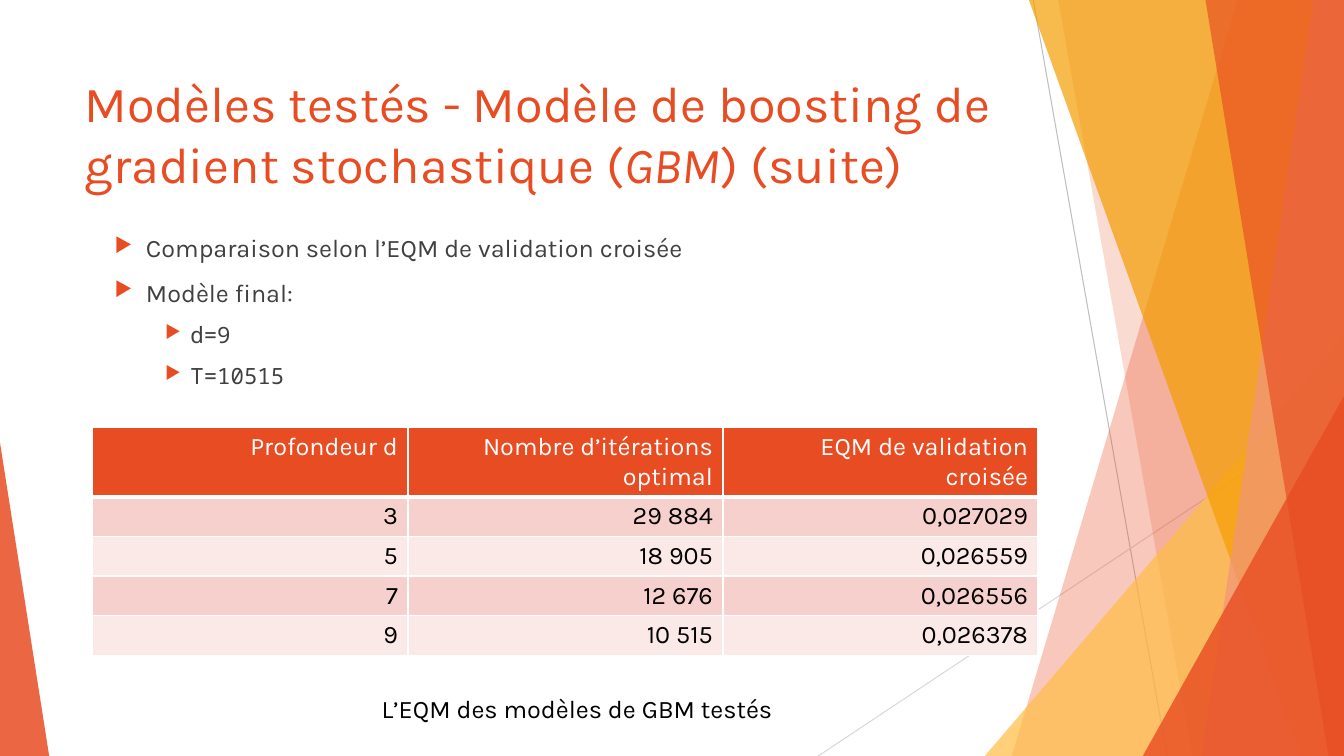
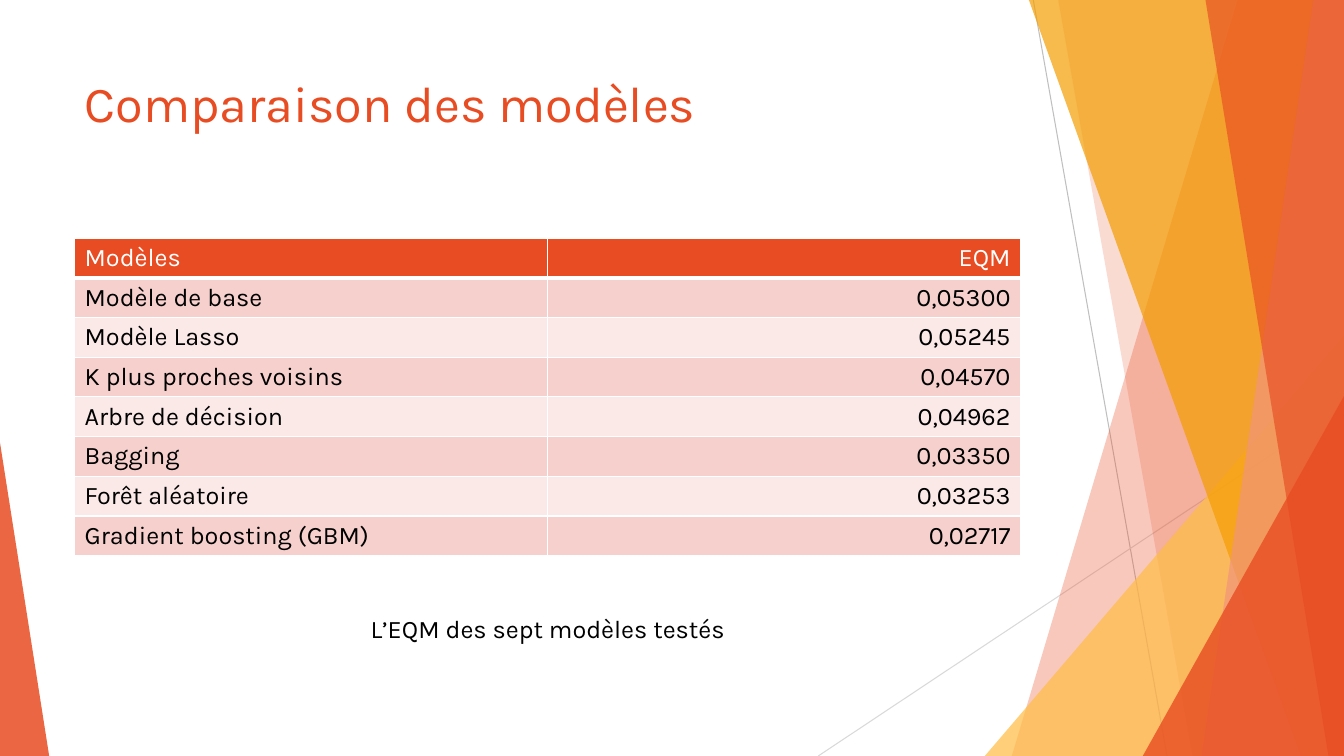
"""Build two slides that compare boosting models and the models tested."""
from dataclasses import dataclass

from lxml import etree
from pptx import Presentation
from pptx import util as u
from pptx.dml import color
from pptx.enum import shapes, text
from pptx.oxml import ns

WIDTH, HEIGHT = 33.87, 19.05
ACCENT, GOLD, AMBER, SALMON = "E84C22", "FFBD47", "F49D00", "F1947A"
WHITE, BLACK, BODY = "FFFFFF", "000000", "404040"
ROW_FILLS = ("F6D0CD", "FBE9E8")
FONT, MONO = "Karla", "Noto Sans Mono"
LEFT, RIGHT, CENTER = text.PP_ALIGN.LEFT, text.PP_ALIGN.RIGHT, text.PP_ALIGN.CENTER


@dataclass(frozen=True)
class Ray:
    """A thin line across the decoration."""
    start: tuple[float, float]
    end: tuple[float, float]
    colour: str


@dataclass(frozen=True)
class Band:
    """A full-height band from a slanted edge to the right side."""
    top_x: float
    bottom_x: float
    colour: str
    opacity: int


@dataclass(frozen=True)
class Wedge:
    """A right triangle standing on the bottom of the slide."""
    left: float
    top: float
    width: float
    apex: float
    colour: str
    opacity: int


@dataclass(frozen=True)
class Bullet:
    """A bullet line with its level and type."""
    words: str
    level: int
    indent: float
    hanging: float
    size: int
    font: str


@dataclass(frozen=True)
class DataTable:
    """A table with its place, alignments and rows."""
    left: float
    top: float
    column_width: float
    header_height: float
    alignments: tuple
    rows: tuple


RAYS = (
    Ray((26.04, 0), (29.41, HEIGHT), "BFBFBF"),
    Ray((WIDTH, 10.24), (20.62, HEIGHT), "D9D9D9"),
)
FACETS = (
    Band(31.19, 25.5, ACCENT, 30),
    Band(26.67, 30.05, ACCENT, 20),
    Wedge(24.82, 8.46, 9.05, 1, GOLD, 72),
    Band(25.93, 32.79, AMBER, 70),
    Band(33.1, 30.28, SALMON, 70),
    Band(30.38, 33.48, ACCENT, 65),
    Wedge(28.8, 9.98, 5.07, 1, ACCENT, 80),
    Wedge(0, 11.15, 1.24, 0, ACCENT, 85),
)
BULLETS = (
    Bullet("Comparaison selon l’EQM de validation croisée", 0, 2.06, 0.79, 18, FONT),
    Bullet("Modèle final:", 0, 2.06, 0.79, 18, FONT),
    Bullet("d=9", 1, 3.18, 0.64, 16, MONO),
    Bullet("T=10515", 1, 3.18, 0.64, 16, MONO),
)
BOOSTING = DataTable(2.34, 10.77, 7.94, 1.74, (RIGHT, RIGHT, RIGHT), (
    ("Profondeur d", "Nombre d’itérations optimal", "EQM de validation croisée"),
    ("3", "29 884", "0,027029"),
    ("5", "18 905", "0,026559"),
    ("7", "12 676", "0,026556"),
    ("9", "10 515", "0,026378"),
))
COMPARISON = DataTable(1.88, 6, 11.92, 1, (LEFT, RIGHT), (
    ("Modèles", "EQM"),
    ("Modèle de base", "0,05300"),
    ("Modèle Lasso", "0,05245"),
    ("K plus proches voisins", "0,04570"),
    ("Arbre de décision", "0,04962"),
    ("Bagging", "0,03350"),
    ("Forêt aléatoire", "0,03253"),
    ("Gradient boosting (GBM)", "0,02717"),
))


def rgb(value: str) -> color.RGBColor:
    """Turn a hex string into a colour."""
    return color.RGBColor.from_string(value)


def add_node(parent, tag: str, **attributes: str):
    """Append a drawing element to a parent."""
    return etree.SubElement(parent, ns.qn(tag), attributes)


def add_run(paragraph, words: str, size: int, colour: str,
            font: str = FONT, italic: bool = False) -> None:
    """Add one formatted run to a paragraph."""
    run = paragraph.add_run()
    run.text = words
    run.font.size = u.Pt(size)
    run.font.name = font
    run.font.italic = italic
    run.font.color.rgb = rgb(colour)


def add_ray(slide, ray: Ray):
    """Draw a thin line without a shadow."""
    points = [u.Cm(value) for value in (*ray.start, *ray.end)]
    connector = slide.shapes.add_connector(shapes.MSO_CONNECTOR.STRAIGHT, *points)
    connector.line.color.rgb = rgb(ray.colour)
    connector.line.width = u.Pt(0.75)
    add_node(connector.element.spPr, "a:effectLst")
    return connector


def add_facet(slide, facet: Band | Wedge):
    """Draw a translucent band or wedge."""
    if isinstance(facet, Band):
        builder = slide.shapes.build_freeform(u.Cm(facet.top_x), 0)
        corners = ((WIDTH, 0), (WIDTH, HEIGHT), (facet.bottom_x, HEIGHT))
        builder.add_line_segments([(u.Cm(x), u.Cm(y)) for x, y in corners], close=True)
        shape = builder.convert_to_shape()
    else:
        shape = slide.shapes.add_shape(
            shapes.MSO_SHAPE.ISOSCELES_TRIANGLE, u.Cm(facet.left), u.Cm(facet.top),
            u.Cm(facet.width), u.Cm(HEIGHT - facet.top))
        shape.adjustments[0] = facet.apex
    shape.shadow.inherit = False
    shape.fill.solid()
    shape.fill.fore_color.rgb = rgb(facet.colour)
    shape.line.fill.background()
    fill_colour = shape.element.spPr.find(".//" + ns.qn("a:srgbClr"))
    add_node(fill_colour, "a:alpha", val=str(facet.opacity * 1000))
    return shape


def decorate_layout(layout, slide) -> None:
    """Draw the decoration on a slide and move it to the shared layout."""
    for placeholder in list(layout.placeholders):
        if placeholder.placeholder_format.type != shapes.PP_PLACEHOLDER.TITLE:
            layout.shapes.element.remove(placeholder.element)
    decoration = [add_ray(slide, ray) for ray in RAYS]
    decoration += [add_facet(slide, facet) for facet in FACETS]
    for shape in decoration:
        layout.shapes.element.append(shape.element)


def add_title(slide, *parts: tuple[str, bool]) -> None:
    """Place the title and fill it with plain and italic runs."""
    title = slide.shapes.title
    title.left, title.top, title.width, title.height = map(u.Cm, (1.88, 1.7, 23.88, 3.66))
    frame = title.text_frame
    frame.auto_size = text.MSO_AUTO_SIZE.NONE
    frame.vertical_anchor = text.MSO_ANCHOR.TOP
    paragraph = frame.paragraphs[0]
    paragraph.alignment = LEFT
    for words, italic in parts:
        add_run(paragraph, words, 36, ACCENT, italic=italic)


def add_text_frame(slide, left: float, top: float, width: float, height: float):
    """Add a wrapping text box and return its frame."""
    box = slide.shapes.add_textbox(*map(u.Cm, (left, top, width, height)))
    box.text_frame.word_wrap = True
    return box.text_frame


def add_caption(slide, words: str, left: float, top: float) -> None:
    """Add a centred caption below a table."""
    paragraph = add_text_frame(slide, left, top, 23.85, 1.42).paragraphs[0]
    paragraph.alignment = CENTER
    add_run(paragraph, words, 18, BLACK)


def add_bullets(slide, bullets: tuple[Bullet, ...]) -> None:
    """Add the bulleted lines."""
    frame = add_text_frame(slide, 1.37, 5.74, 23.88, 10.77)
    for index, bullet in enumerate(bullets):
        paragraph = frame.add_paragraph() if index else frame.paragraphs[0]
        paragraph.level = bullet.level
        paragraph.space_before = u.Pt(10)
        properties = paragraph._p.get_or_add_pPr()
        properties.set("marL", str(u.Cm(bullet.indent)))
        properties.set("indent", str(-u.Cm(bullet.hanging)))
        add_node(add_node(properties, "a:buClr"), "a:srgbClr", val=ACCENT)
        add_node(properties, "a:buSzPct", val="80000")
        add_node(properties, "a:buChar", char="▶")
        add_run(paragraph, bullet.words, bullet.size, BODY, bullet.font)


def add_borders(cell, bottom: float) -> None:
    """Give a cell white borders, ahead of its fill."""
    properties = cell._tc.get_or_add_tcPr()
    widths = {"a:lnL": 1, "a:lnR": 1, "a:lnT": 1, "a:lnB": bottom}
    for position, (tag, width) in enumerate(widths.items()):
        line = add_node(properties, tag, w=str(u.Pt(width)))
        add_node(add_node(line, "a:solidFill"), "a:srgbClr", val=WHITE)
        properties.insert(position, line)


def add_data_table(slide, data: DataTable) -> None:
    """Draw a table with a header row and alternating fills."""
    row_count, column_count = len(data.rows), len(data.alignments)
    table = slide.shapes.add_table(
        row_count, column_count, u.Cm(data.left), u.Cm(data.top),
        u.Cm(data.column_width * column_count),
        u.Cm(data.header_height + row_count - 1)).table
    for column in table.columns:
        column.width = u.Cm(data.column_width)
    for row_index, values in enumerate(data.rows):
        is_header = row_index == 0
        table.rows[row_index].height = u.Cm(data.header_height if is_header else 1)
        fill = ACCENT if is_header else ROW_FILLS[(row_index - 1) % 2]
        for column_index, words in enumerate(values):
            cell = table.cell(row_index, column_index)
            cell.fill.solid()
            cell.fill.fore_color.rgb = rgb(fill)
            add_borders(cell, 3 if is_header else 1)
            paragraph = cell.text_frame.paragraphs[0]
            paragraph.alignment = data.alignments[column_index]
            add_run(paragraph, words, 18, WHITE if is_header else BLACK)


def main() -> None:
    """Build and save the presentation."""
    presentation = Presentation()
    presentation.slide_width, presentation.slide_height = u.Cm(WIDTH), u.Cm(HEIGHT)
    layout = presentation.slide_layouts[5]

    boosting = presentation.slides.add_slide(layout)
    decorate_layout(layout, boosting)
    add_title(boosting,
              ("Modèles testés - Modèle de boosting de gradient stochastique (", False),
              ("GBM", True), (") (suite)", False))
    add_data_table(boosting, BOOSTING)
    add_caption(boosting, "L’EQM des modèles de GBM testés", 2.62, 17.35)
    add_bullets(boosting, BULLETS)

    comparison = presentation.slides.add_slide(layout)
    add_title(comparison, ("Comparaison des modèles", False))
    add_data_table(comparison, COMPARISON)
    add_caption(comparison, "L’EQM des sept modèles testés", 1.88, 15.34)

    presentation.save("out.pptx")


if __name__ == "__main__":
    main()
